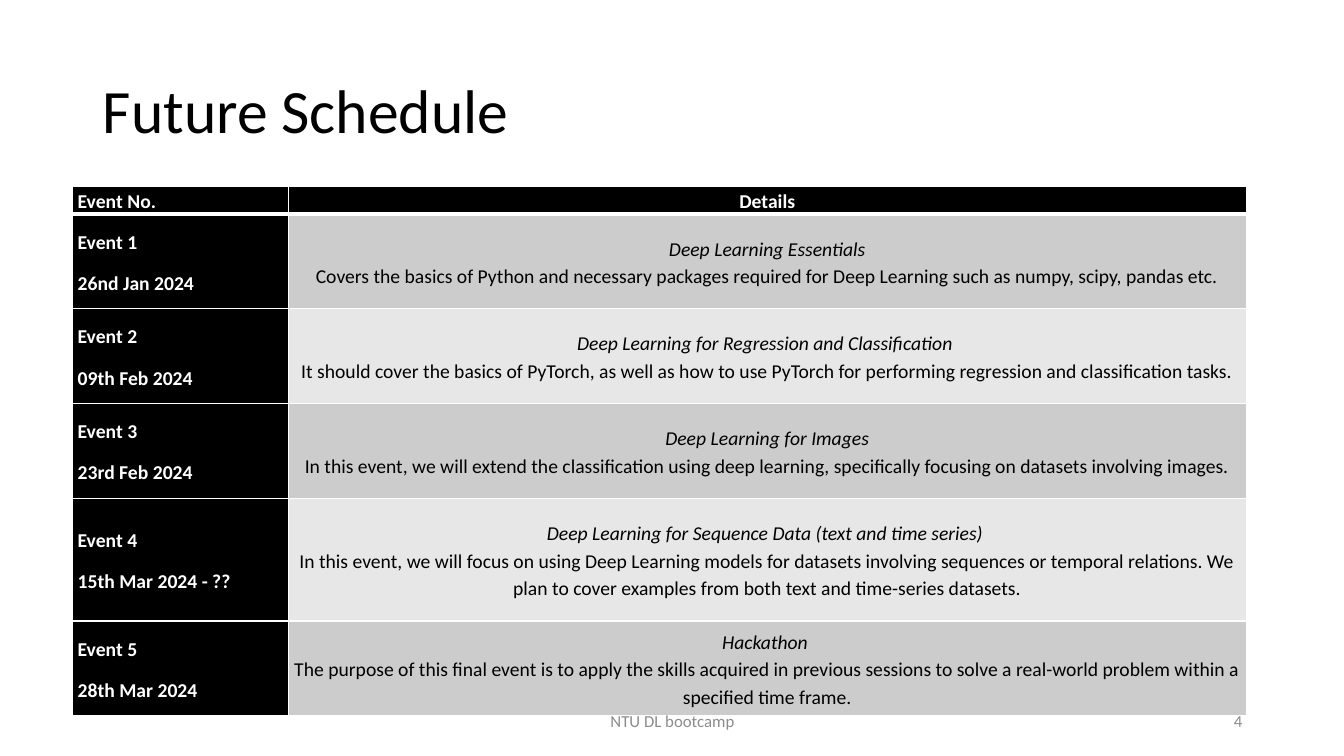
from copy import deepcopy

from lxml import etree
from pptx import Presentation
from pptx import util as u
from pptx.dml.color import RGBColor
from pptx.enum import text
from pptx.oxml.ns import qn

FONT = "Calibri"
BLACK, WHITE, GREY = "000000", "FFFFFF", "8C8C8C"
BANDS = ("CCCCCC", "E7E7E7")
COLUMN_WIDTHS = (2.14, 9.5)
ROW_HEIGHTS = (0.26, 0.94, 0.94, 0.94, 1.22, 0.94)
HEADINGS = ("Event No.", "Details")
EVENTS = [
    ("26nd Jan 2024", "Deep Learning Essentials",
     "Covers the basics of Python and necessary packages required for Deep Learning "
     "such as numpy, scipy, pandas etc."),
    ("09th Feb 2024", "Deep Learning for Regression and Classification ",
     "It should cover the basics of PyTorch, as well as how to use PyTorch for "
     "performing regression and classification tasks."),
    ("23rd Feb 2024", "Deep Learning for Images",
     "In this event, we will extend the classification using deep learning, "
     "specifically focusing on datasets involving images."),
    ("15th Mar 2024 - ??", "Deep Learning for Sequence Data (text and time series) ",
     "In this event, we will focus on using Deep Learning models for datasets involving "
     "sequences or temporal relations. We plan to cover examples from both text and "
     "time-series datasets."),
    ("28th Mar 2024", "Hackathon ",
     "The purpose of this final event is to apply the skills acquired in previous "
     "sessions to solve a real-world problem within a specified time frame."),
]


def color(code):
    return RGBColor.from_string(code)


def style(span, size, code, bold=False, italic=False):
    span.font.name = FONT
    span.font.size = u.Pt(size)
    span.font.color.rgb = color(code)
    span.font.bold = bold
    span.font.italic = italic


def add_title(page, box, words):
    title = page.shapes.title
    title.left, title.top, title.width, title.height = map(u.Inches, box)
    frame = title.text_frame
    frame.text = words
    frame.auto_size = text.MSO_AUTO_SIZE.NONE
    frame.vertical_anchor = text.MSO_ANCHOR.MIDDLE
    para = frame.paragraphs[0]
    para.alignment = text.PP_ALIGN.LEFT
    para.line_spacing = 0.9
    style(para.runs[0], 44, BLACK)


def set_borders(cell, bottom):
    properties = cell._tc.get_or_add_tcPr()
    sides = (("a:lnL", 1), ("a:lnR", 1), ("a:lnT", 1), ("a:lnB", bottom))
    for place, (side, points) in enumerate(sides):
        line = etree.Element(qn(side), w=str(u.Pt(points)))
        fill = etree.SubElement(line, qn("a:solidFill"))
        etree.SubElement(fill, qn("a:srgbClr"), val=WHITE)
        properties.insert(place, line)


def fill_cell(cell, words, fill, code, align, bold=False, bottom=1):
    cell.fill.solid()
    cell.fill.fore_color.rgb = color(fill)
    set_borders(cell, bottom)
    cell.margin_left = cell.margin_right = u.Inches(0.05)
    cell.margin_top = cell.margin_bottom = 0
    cell.vertical_anchor = text.MSO_ANCHOR.MIDDLE
    cell.text_frame.text = words
    for para in cell.text_frame.paragraphs:
        para.alignment = align
        para.line_spacing = 1.15
        para.space_after = u.Pt(10)
        for span in para.runs:
            style(span, 14, code, bold)
        # Line breaks take the size of the text around them
        for line_break in para._p.findall(qn("a:br")):
            line_break.append(deepcopy(para.runs[0]._r.get_or_add_rPr()))


def add_schedule(page, left, top):
    size = (sum(COLUMN_WIDTHS), sum(ROW_HEIGHTS))
    table = page.shapes.add_table(len(ROW_HEIGHTS), len(COLUMN_WIDTHS),
                                  *map(u.Inches, (left, top, *size))).table
    table.first_row = table.horz_banding = False
    for column, width in zip(table.columns, COLUMN_WIDTHS):
        column.width = u.Inches(width)
    for row, height in zip(table.rows, ROW_HEIGHTS):
        row.height = u.Inches(height)

    # Heading row
    aligns = (text.PP_ALIGN.JUSTIFY, text.PP_ALIGN.CENTER)
    for column, (heading, align) in enumerate(zip(HEADINGS, aligns)):
        fill_cell(table.cell(0, column), heading, BLACK, WHITE, align, True, bottom=3)

    # One row per event
    for number, (date, topic, details) in enumerate(EVENTS, 1):
        fill_cell(table.cell(number, 0), f"Event {number}\n{date}",
                  BLACK, WHITE, aligns[0], True)
        cell = table.cell(number, 1)
        fill_cell(cell, f"{topic}\v{details}", BANDS[(number - 1) % 2], BLACK, aligns[1])
        cell.text_frame.paragraphs[0].runs[0].font.italic = True


def add_footer(page, box, words, align):
    frame = page.shapes.add_textbox(*map(u.Inches, box)).text_frame
    frame.word_wrap = True
    frame.vertical_anchor = text.MSO_ANCHOR.MIDDLE
    frame.text = words
    para = frame.paragraphs[0]
    para.alignment = align
    style(para.runs[0], 12, GREY)


def main():
    deck = Presentation()
    deck.slide_width, deck.slide_height = u.Inches(13.33), u.Inches(7.5)
    page = deck.slides.add_slide(deck.slide_layouts.get_by_name("Title Only"))
    add_title(page, (0.92, 0.4, 11.5, 1.45), "Future Schedule")
    add_schedule(page, 0.72, 1.85)
    add_footer(page, (4.42, 6.95, 4.5, 0.4), "NTU DL bootcamp", text.PP_ALIGN.CENTER)
    add_footer(page, (9.42, 6.95, 3, 0.4), "4", text.PP_ALIGN.RIGHT)
    deck.save("out.pptx")


if __name__ == "__main__":
    main()
